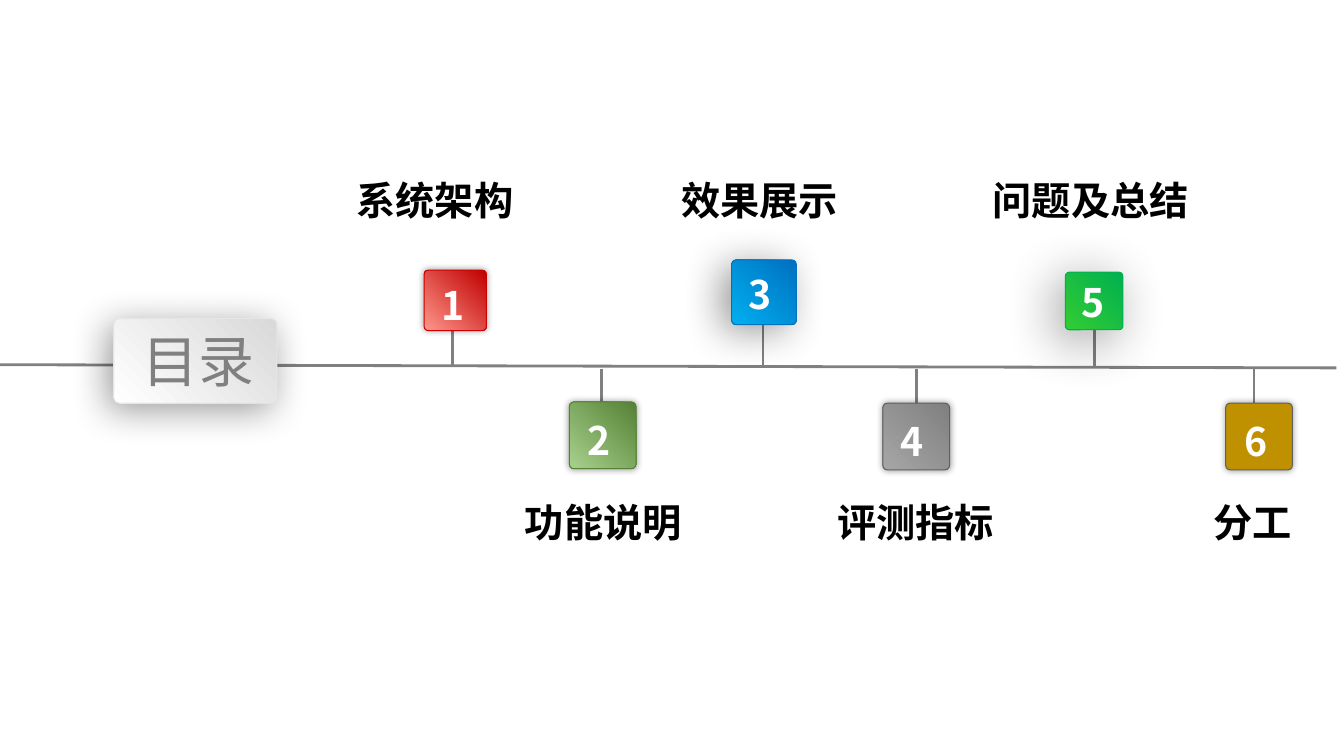
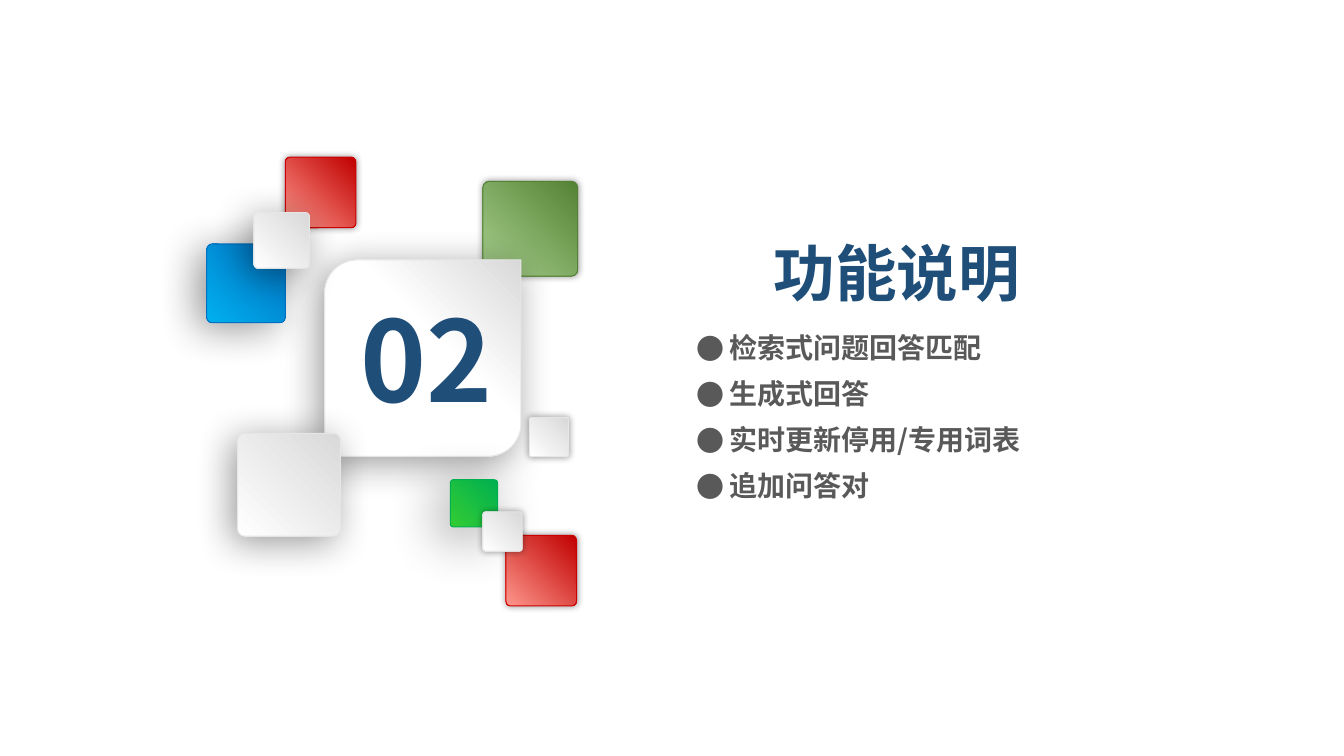
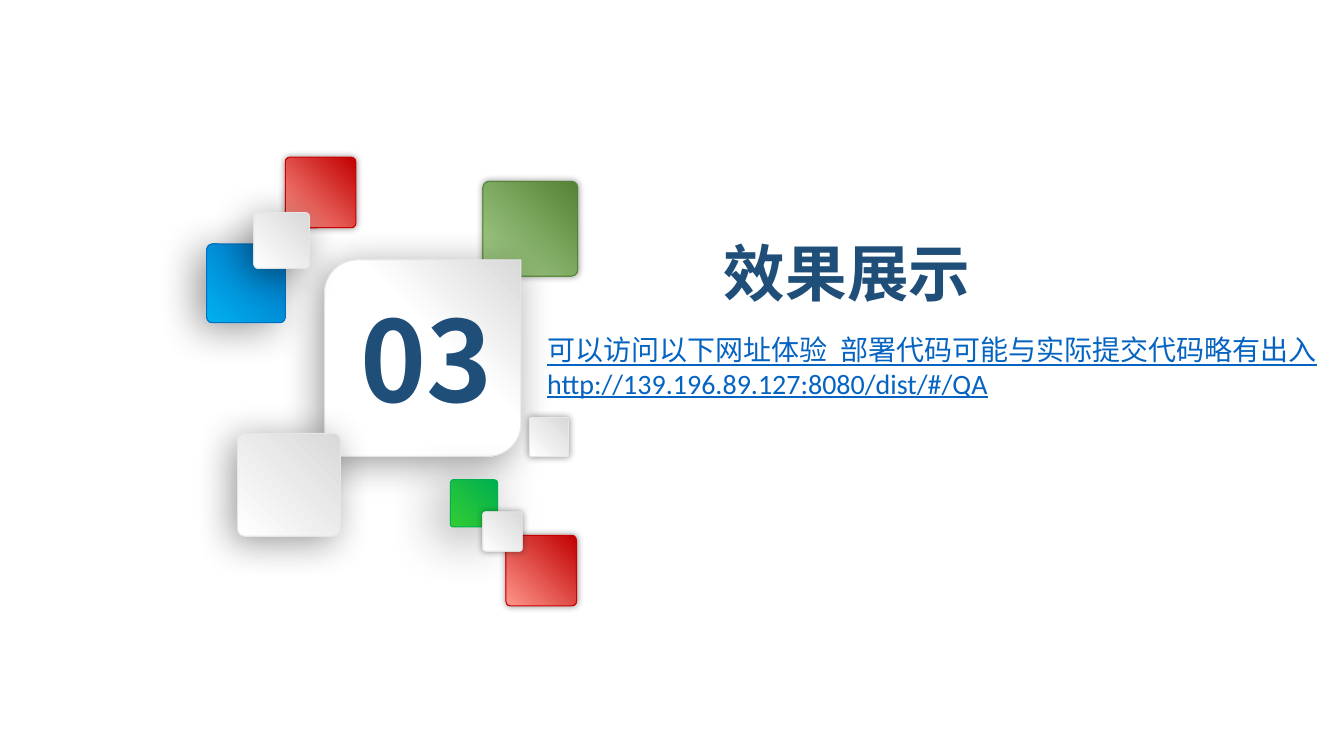
import pptx
import pptx.util
import pptx.dml.color
import pptx.enum.shapes
import pptx.enum.text
import pptx.oxml.ns
import lxml.etree

Cm, Pt = pptx.util.Cm, pptx.util.Pt
RGB = pptx.dml.color.RGBColor.from_string
SHAPES = pptx.enum.shapes.MSO_SHAPE
ALIGN = pptx.enum.text.PP_ALIGN
qn = pptx.oxml.ns.qn

# Theme: text styles, tile styles, shadows
CJK = "Noto Sans CJK SC"
THEME = {
    "text": {
        "label": ({"size": Pt(28), "bold": True, "name": CJK}, "000000"),
        "number": ({"size": Pt(28), "bold": True, "name": CJK}, "FFFFFF"),
        "contents": ({"size": Pt(40), "name": CJK}, "808080"),
        "title": ({"size": Pt(44), "bold": True, "name": CJK}, "1F4E79"),
        "section": ({"size": Pt(80), "bold": True, "name": CJK}, "1F4E79"),
        "bullet": ({"size": Pt(20), "bold": True, "name": CJK}, "595959"),
        "address": ({"size": Pt(20), "underline": True, "name": "Calibri"}, "0563C1"),
    },
    # start colour, end colour, outline, shadow
    "tile": {
        "red": ("C00000", "FE978C", "CC0000", "glow"),
        "green": ("548235", "A9D18E", "548235", "glow"),
        "blue": ("0070C0", "00B0F0", "0070C0", "left"),
        "grey": ("808080", "A6A6A6", "606060", "glow"),
        "lime": ("00B050", "33CC33", "00B050", "deep"),
        "gold": ("BF9000", "BF9000", "606060", "glow"),
        "white": ("D9D9D9", "FFFFFF", "E6E6E6", "soft"),
        "pale": ("D9D9D9", "FFFFFF", "E6E6E6", "glow"),
    },
    # blur in points, distance in points, direction in degrees
    "shadow": {"glow": (5, 0, 0), "soft": (27, 6, 135), "left": (29, 8, 150), "deep": (40, 9, 135)},
    "axis": "808080",
}


def add_tile(slide, style, left, top, width, height, kind=SHAPES.ROUNDED_RECTANGLE, end=1.0):
    start_colour, end_colour, outline, shadow = THEME["tile"][style]
    shape = slide.shapes.add_shape(kind, Cm(left), Cm(top), Cm(width), Cm(height))
    if kind == SHAPES.ROUNDED_RECTANGLE:
        shape.adjustments[0] = 0.067
    if start_colour == end_colour:
        shape.fill.solid()
        shape.fill.fore_color.rgb = RGB(start_colour)
    else:
        shape.fill.gradient()
        shape.fill.gradient_angle = 225
        stops = zip(shape.fill.gradient_stops, (start_colour, end_colour), (0.0, end))
        for stop, colour, position in stops:
            stop.color.rgb = RGB(colour)
            stop.position = position
    shape.line.color.rgb = RGB(outline)
    shape.line.width = Pt(0.75)
    shape.shadow.inherit = False
    blur, distance, direction = THEME["shadow"][shadow]
    effects = shape._element.spPr.find(qn("a:effectLst"))
    outer = lxml.etree.SubElement(
        effects, qn("a:outerShdw"), blurRad=str(Pt(blur)), dist=str(Pt(distance)),
        dir=str(direction * 60000), algn="ctr", rotWithShape="0")
    black = lxml.etree.SubElement(outer, qn("a:srgbClr"), val="000000")
    lxml.etree.SubElement(black, qn("a:alpha"), val="40000")


def add_text(slide, style, lines, left, top, width, height, wrap=True, align=ALIGN.LEFT):
    values, colour = THEME["text"][style]
    box = slide.shapes.add_textbox(Cm(left), Cm(top), Cm(width), Cm(height))
    frame = box.text_frame
    frame.word_wrap = wrap
    frame.auto_size = pptx.enum.text.MSO_AUTO_SIZE.SHAPE_TO_FIT_TEXT
    for index, line in enumerate(lines):
        paragraph = frame.paragraphs[0] if index == 0 else frame.add_paragraph()
        paragraph.alignment = align
        if style == "bullet":
            properties = paragraph._p.get_or_add_pPr()
            properties.set("marL", str(Cm(0.83)))
            properties.set("indent", str(-Cm(0.83)))
            lxml.etree.SubElement(properties, qn("a:buFont"), typeface=CJK)
            lxml.etree.SubElement(properties, qn("a:buChar"), char="●")
        run = paragraph.add_run()
        run.text = line
        for name, value in values.items():
            setattr(run.font, name, value)
        run.font.color.rgb = RGB(colour)
        lxml.etree.SubElement(run._r.get_or_add_rPr(), qn("a:ea"), typeface=CJK)


presentation = pptx.Presentation()
presentation.slide_width, presentation.slide_height = Cm(33.87), Cm(19.05)
blank = presentation.slide_layouts[6]

# Contents slide: label, label left and width, stem x, tile style and box, number corner
slide = presentation.slides.add_slide(blank)
chapters = [
    ("系统架构", 8.74, 6.12, 11.4, "red", (10.69, 6.81, 1.57, 1.52), (10.87, 6.96)),
    ("功能说明", 12.98, 7.87, 15.16, "green", (14.35, 10.13, 1.68, 1.68), (14.55, 10.36)),
    ("效果展示", 16.92, 5.49, 19.23, "blue", (18.44, 6.55, 1.63, 1.63), (18.62, 6.68)),
    ("评测指标", 20.85, 4.85, 23.09, "grey", (22.25, 10.16, 1.68, 1.68), (22.45, 10.39)),
    ("问题及总结", 24.77, 6.12, 27.58, "lime", (26.85, 6.86, 1.45, 1.45), (27, 6.88)),
    ("分工", 30.33, 2.54, 31.6, "gold", (30.89, 10.16, 1.68, 1.68), (31.12, 10.39)),
]

# Axis, and stems alternating above and below it
lines = [(0, 9.19, 33.68, 9.27)]
for index, chapter in enumerate(chapters):
    near, far = (9.22, 8.03) if index % 2 == 0 else (9.3, 10.49)
    lines.append((chapter[3], near, chapter[3], far))
for ends in lines:
    connector = slide.shapes.add_connector(
        pptx.enum.shapes.MSO_CONNECTOR.STRAIGHT, *[Cm(value) for value in ends])
    connector.line.color.rgb = RGB(THEME["axis"])
    connector.line.width = Pt(2)
    lxml.etree.SubElement(connector._element.spPr, qn("a:effectLst"))

# Heading on the axis
add_tile(slide, "white", 2.87, 8.03, 4.11, 2.13)
add_text(slide, "contents", ["目录"], 2.95, 8.1, 4.11, 1.96, align=ALIGN.CENTER)

# Numbered tiles with labels
for index, (label, left, width, stem, style, tile, corner) in enumerate(chapters):
    add_tile(slide, style, *tile)
    add_text(slide, "number", [str(index + 1)], *corner, 1.12, 1.45, wrap=False)
    add_text(slide, "label", [label], left, 4.32 if index % 2 == 0 else 12.42, width, 1.45)

# Section slides: number, title, title left and width
sections = [("02", "功能说明", 16, 13.21), ("03", "效果展示", 16.89, 8.92)]
tiles_behind = [
    ("red", 12.75, 13.49, 1.78),
    ("green", 12.17, 4.57, 2.39),
    ("blue", 5.21, 6.15, 1.98),
    ("red", 7.19, 3.96, 1.78),
]
tiles_in_front = [
    ("white", 6.4, 5.36, 1.4),
    ("pale", 13.34, 10.52, 0.99),
    ("lime", 11.35, 12.09, 1.19),
    ("white", 5.99, 10.92, 2.59),
    ("pale", 12.17, 12.9, 0.99),
]
section_slides = []
for number, title, left, width in sections:
    slide = presentation.slides.add_slide(blank)
    section_slides.append(slide)
    add_text(slide, "title", [title], left, 5.79, width, 2.13, align=ALIGN.CENTER)
    for style, tile_left, tile_top, side in tiles_behind:
        add_tile(slide, style, tile_left, tile_top, side, side)
    add_tile(slide, "white", 8.18, 6.55, 4.95, 4.95, SHAPES.ROUND_2_DIAG_RECTANGLE, 0.42)
    for style, tile_left, tile_top, side in tiles_in_front:
        add_tile(slide, style, tile_left, tile_top, side, side)
    add_text(slide, "section", [number], 8.84, 7.19, 4.04, 3.68, wrap=False)

# Features in section 02
features = ["检索式问题回答匹配", "生成式回答", "实时更新停用/专用词表", "追加问答对"]
for index, feature in enumerate(features):
    add_text(section_slides[0], "bullet", [feature], 17.3, 8.2 + 1.16 * index, 10.2, 1.12)

# Address in section 03
address = ["可以访问以下网址体验  部署代码可能与实际提交代码略有出入",
           "http://139.196.89.127:8080/dist/#/QA"]
add_text(section_slides[1], "address", address, 13.54, 8.26, 20.3, 1.96)

presentation.save("out.pptx")
